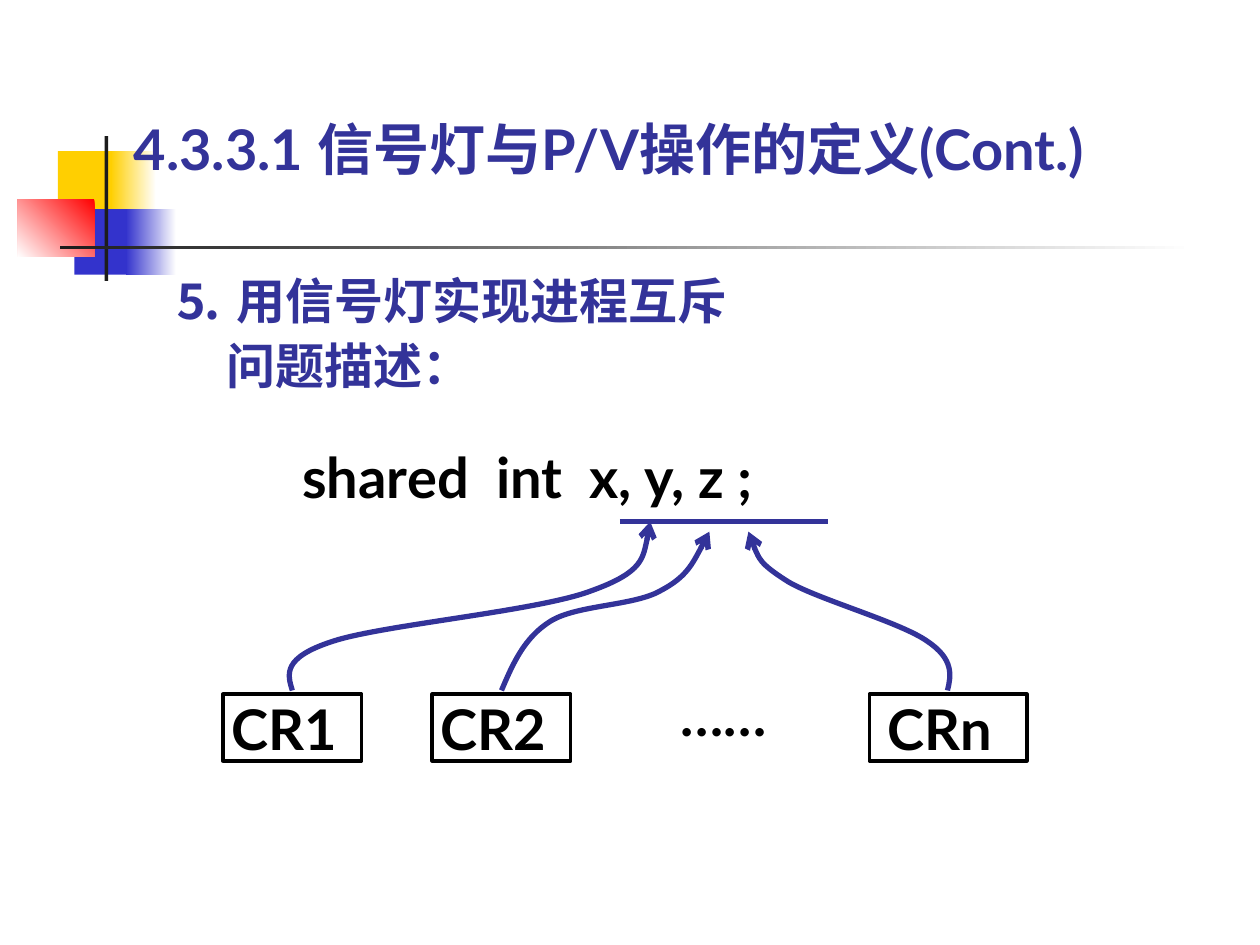
import pptx
import pptx.util
import pptx.dml.color
import pptx.enum.shapes
import pptx.enum.text
import pptx.oxml
import pptx.oxml.ns
from lxml import etree

Inches, Pt = pptx.util.Inches, pptx.util.Pt
RECT = pptx.enum.shapes.MSO_SHAPE.RECTANGLE
ALIGN = pptx.enum.text.PP_ALIGN
ANCHOR = pptx.enum.text.MSO_ANCHOR
qn = pptx.oxml.ns.qn

COLORS = {
    "ink": "333399", "text": "000000", "white": "FFFFFF", "gold": "FFCF01",
    "blue": "3333CC", "red": "FF0000", "dark": "1C1C1C",
}


def color(name):
    return pptx.dml.color.RGBColor.from_string(COLORS[name])


def place(shape, box):
    shape.left, shape.top, shape.width, shape.height = map(Inches, box)


def write(shape, text, size=32, hue="text", align=ALIGN.LEFT,
          anchor=ANCHOR.TOP, right=0, space=1.0, indents=None, tab=None):
    """Fill a shape with bold text, one paragraph per line."""
    frame = shape.text_frame
    frame.word_wrap = True
    frame.auto_size = pptx.enum.text.MSO_AUTO_SIZE.NONE
    frame.vertical_anchor = anchor
    frame.margin_left = frame.margin_top = frame.margin_bottom = 0
    frame.margin_right = Inches(right)
    frame.text = text
    for i, para in enumerate(frame.paragraphs):
        para.alignment = align
        para.line_spacing = space
        para.space_before = Pt(0)
        if indents:
            props = para._p.get_or_add_pPr()
            props.set("marL", str(Inches(indents[i])))
            props.set("indent", "0")
            etree.SubElement(props, qn("a:buNone"))
            if tab:
                stops = etree.SubElement(props, qn("a:tabLst"))
                etree.SubElement(stops, qn("a:tab"), pos=str(Inches(tab)), algn="l")
        font = para.font
        font.name, font.size, font.bold = "Lato", Pt(size), True
        font.color.rgb = color(hue)


def block(slide, box, start, end=None, angle=180):
    """Borderless rectangle, plain or fading from start to end."""
    shape = slide.shapes.add_shape(RECT, *map(Inches, box))
    shape.shadow.inherit = False
    shape.line.fill.background()
    if end is None:
        shape.fill.solid()
        shape.fill.fore_color.rgb = color(start)
        return
    shape.fill.gradient()
    shape.fill.gradient_angle = angle
    for stop, name in zip(shape.fill.gradient_stops, (start, end)):
        stop.color.rgb = color(name)


def decor(slide, x, y):
    """Coloured squares and crossing bars, from their top left corner."""
    parts = [
        ((0.32, 0.12, 0.48, 0.52), "gold"),
        ((0.74, 0.12, 0.36, 0.52), "white", "gold"),
        ((0.45, 0.58, 0.46, 0.52), "blue"),
        ((0.86, 0.58, 0.4, 0.52), "white", "blue"),
        ((0, 0.5, 0.61, 0.46), "red", "white", 225),
        ((0.69, 0, 0.03, 1.15), "dark"),
        ((0.34, 0.87, 9, 0.03), "white", "dark"),
    ]
    for (left, top, wide, high), *fill in parts:
        block(slide, (x + left, y + top, wide, high), *fill)


def heading(slide, box):
    title = slide.shapes.title
    place(title, box)
    write(title, "4.3.3.1 信号灯与P/V操作的定义(Cont.)", hue="ink", anchor=ANCHOR.BOTTOM)


def body(slide, box):
    holder = slide.placeholders[1]
    place(holder, box)
    write(holder, "⒌\t用信号灯实现进程互斥\n问题描述：", size=28, hue="ink",
          anchor=ANCHOR.MIDDLE, space=1.1, indents=(0, 0.42), tab=0.53)


def label(slide, box, text, **form):
    shape = slide.shapes.add_textbox(*map(Inches, box))
    write(shape, text, **form)


def process(slide, box, text):
    shape = slide.shapes.add_shape(RECT, *map(Inches, box))
    shape.shadow.inherit = False
    shape.fill.background()
    shape.line.color.rgb = color("text")
    shape.line.width = Pt(2)
    write(shape, text, align=ALIGN.CENTER, right=0.13)


def stroke(shape):
    shape.line.color.rgb = color("ink")
    shape.line.width = Pt(3)


def curve(slide, x, y, points):
    """Arrow through Bezier points, three for each segment after the first."""
    (left, top), *rest = [(Inches(x + dx), Inches(y + dy)) for dx, dy in points]
    maker = slide.shapes.build_freeform(left, top)
    maker.add_line_segments(rest, close=False)
    shape = maker.convert_to_shape()
    shape.shadow.inherit = False
    shape.fill.background()
    stroke(shape)
    etree.SubElement(shape.line._get_or_add_ln(), qn("a:tailEnd"), type="arrow")
    # Turn each three straight steps into one cubic segment
    route = next(shape._element.iter(qn("a:path")))
    steps = route.findall(qn("a:lnTo"))
    for i in range(0, len(steps), 3):
        cubic = etree.SubElement(route, qn("a:cubicBezTo"))
        for step in steps[i:i + 3]:
            cubic.append(step[0])
            route.remove(step)


def diagram(slide, x, y):
    """Shared variables and the processes that reach them."""
    label(slide, (x + 0.63, y, 4.49, 0.53), "shared  int  x, y, z ;")
    for left, wide, name in ((0, 1.1, "CR1"), (1.66, 1.1, "CR2"), (5.13, 1.25, "CRn")):
        process(slide, (x + left, y + 2, wide, 0.53), name)
    label(slide, (x + 3.23, y + 1.89, 1.49, 0.53), "……", align=ALIGN.CENTER)

    # Line under the variables
    rule = slide.shapes.add_connector(
        pptx.enum.shapes.MSO_CONNECTOR.STRAIGHT,
        *map(Inches, (x + 3.15, y + 0.63, x + 4.8, y + 0.63)))
    stroke(rule)
    etree.SubElement(rule._element.spPr, qn("a:effectLst"))

    # Arrows from the processes
    routes = [
        [(5.75, 1.97), (5.78, 1.85), (5.8, 1.72), (5.59, 1.58), (5.38, 1.43),
         (4.73, 1.25), (4.49, 1.11), (4.25, 0.96), (4.21, 0.84), (4.17, 0.71)],
        [(2.21, 1.97), (2.3, 1.76), (2.39, 1.55), (2.6, 1.42), (2.81, 1.29),
         (3.26, 1.3), (3.47, 1.18), (3.68, 1.07), (3.77, 0.89), (3.86, 0.71)],
        [(0.55, 1.97), (0.51, 1.84), (0.47, 1.71), (0.87, 1.58), (1.26, 1.45),
         (2.5, 1.34), (2.92, 1.18), (3.34, 1.03), (3.36, 0.83), (3.39, 0.63)],
    ]
    for points in routes:
        curve(slide, x, y, points)


def main():
    deck = pptx.Presentation()
    deck.slide_width, deck.slide_height = Inches(10), Inches(7.5)
    slide = deck.slides.add_slide(deck.slide_layouts[1])
    decor(slide, 0.14, 1.08)
    # Bring the placeholders in front of the squares
    for holder in list(slide.placeholders):
        slide.shapes._spTree.append(holder._element)
    body(slide, (1.38, 2.1, 4.56, 1.03))
    heading(slide, (1.06, 0.91, 8.43, 0.53))
    diagram(slide, 1.77, 3.51)
    deck.save("out.pptx")


if __name__ == "__main__":
    main()
